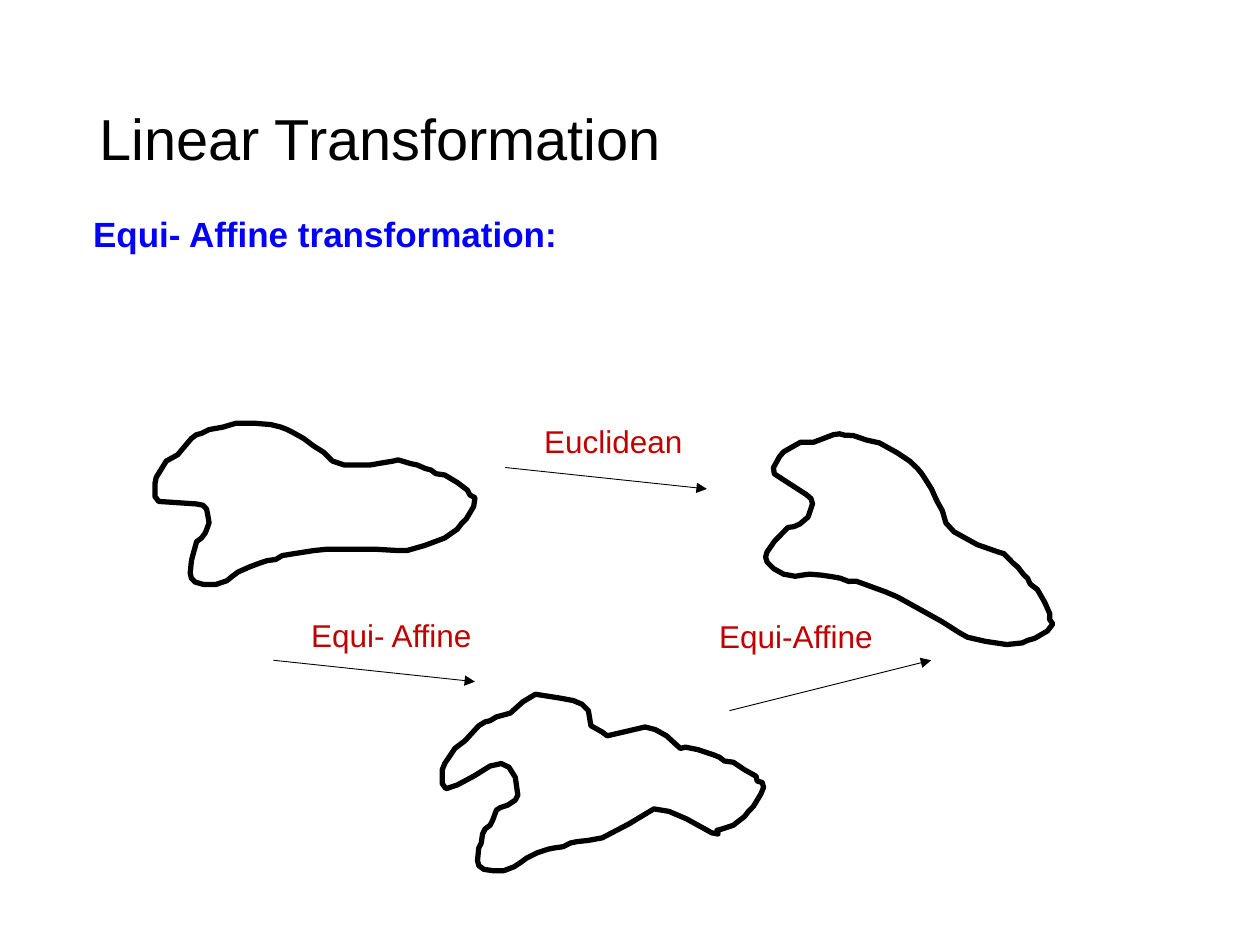
from lxml.etree import SubElement
from pptx import Presentation
from pptx.dml.color import RGBColor
from pptx.enum.shapes import MSO_CONNECTOR
from pptx.enum.text import MSO_ANCHOR, PP_ALIGN
from pptx.oxml.ns import qn
from pptx.util import Inches, Pt

WIDTH, HEIGHT = Inches(10), Inches(7.5)
FONT = "Arial"
COLORS = {
    "title": "000000",
    "heading": "0000FF",
    "label": "C00000",
    "line": "000000",
    "paper": "FFFFFF",
}

# Outlines in hundredths of an inch-like unit, 255 units wide, from the box's top left.
OUTLINE_UNITS = 255
ORIGINAL_OUTLINE = [
    (2, 43), (10, 30), (19, 25), (30, 12), (34, 9), (38, 8), (44, 5), (55, 3),
    (65, 0), (81, 0), (93, 1), (101, 3), (106, 5), (110, 7), (119, 12), (127, 18),
    (135, 23), (142, 30), (151, 33), (172, 33), (190, 30), (194, 29), (204, 32),
    (209, 33), (216, 36), (220, 37), (224, 40), (231, 41), (241, 47), (249, 53),
    (251, 57), (255, 59), (254, 66), (248, 76), (244, 80), (241, 84), (231, 91),
    (223, 94), (215, 97), (201, 101), (194, 101), (177, 100), (137, 100), (127, 101),
    (108, 104), (102, 105), (97, 108), (90, 109), (84, 111), (76, 114), (67, 118),
    (63, 121), (58, 125), (49, 128), (40, 128), (33, 126), (30, 123), (29, 119),
    (30, 109), (31, 105), (33, 98), (34, 94), (38, 91), (41, 87), (44, 79), (43, 73),
    (42, 68), (39, 65), (34, 64), (4, 62), (1, 58), (1, 48),
]
AFFINE_OUTLINE = [
    (2, 55), (10, 43), (18, 37), (29, 25), (34, 22), (38, 21), (43, 18), (54, 15),
    (64, 6), (74, 0), (93, 3), (104, 5), (111, 8), (116, 13), (117, 19), (118, 25),
    (127, 30), (131, 33), (161, 26), (169, 28), (178, 33), (189, 43), (193, 42),
    (203, 44), (209, 46), (215, 48), (220, 50), (224, 53), (231, 54), (240, 60),
    (249, 65), (250, 69), (254, 70), (255, 74), (253, 79), (247, 89), (243, 93),
    (240, 97), (231, 104), (222, 107), (218, 108), (219, 111), (214, 110), (194, 99),
    (180, 93), (168, 91), (148, 103), (127, 114), (116, 116), (107, 117), (102, 118),
    (96, 121), (89, 122), (84, 123), (75, 126), (67, 130), (63, 133), (57, 137),
    (49, 140), (40, 140), (33, 139), (29, 136), (28, 132), (29, 122), (31, 118),
    (32, 111), (34, 107), (38, 104), (40, 100), (43, 92), (46, 90), (52, 88), (58, 84),
    (60, 80), (58, 66), (53, 58), (47, 55), (38, 57), (25, 65), (12, 72), (3, 75),
    (0, 71), (0, 60),
]


def across(percent):
    return round(WIDTH * percent / 100)


def down(percent):
    return round(HEIGHT * percent / 100)


def place(box):
    """Turn left, top, width, height in percent of the slide into lengths."""
    left, top, width, height = box
    return across(left), down(top), across(width), down(height)


def rgb(role):
    return RGBColor.from_string(COLORS[role])


def style(paragraph, size, role, bold=False):
    for run in paragraph.runs:
        run.font.name = FONT
        run.font.size = Pt(size)
        run.font.bold = bold
        run.font.color.rgb = rgb(role)


def add_title(slide, text, box):
    title = slide.shapes.title
    title.left, title.top, title.width, title.height = place(box)
    title.text_frame.text = text
    title.text_frame.vertical_anchor = MSO_ANCHOR.MIDDLE
    paragraph = title.text_frame.paragraphs[0]
    paragraph.alignment = PP_ALIGN.LEFT
    paragraph.line_spacing = 0.9
    style(paragraph, 33, "title")


def add_text(slide, text, box, size, role, bold=False):
    frame = slide.shapes.add_textbox(*place(box)).text_frame
    frame.word_wrap = False
    frame.text = text
    style(frame.paragraphs[0], size, role, bold)


def add_figure(slide, outline, left, top, width=25.5, rotation=0):
    builder = slide.shapes.build_freeform(
        *outline[0], scale=across(width) / OUTLINE_UNITS)
    builder.add_line_segments(outline[1:], close=True)
    figure = builder.convert_to_shape(across(left), down(top))
    figure.rotation = rotation
    figure.shadow.inherit = False
    figure.fill.solid()
    figure.fill.fore_color.rgb = rgb("paper")
    figure.line.color.rgb = rgb("line")
    figure.line.width = Pt(3)
    SubElement(figure.line._get_or_add_ln(), qn("a:round"))


def add_step(slide, text, start, drop, label_offset, label_width, run=16):
    """Draw an arrow from start and its label, offset from that same point."""
    left, top = start
    arrow = slide.shapes.add_connector(
        MSO_CONNECTOR.STRAIGHT, across(left), down(top),
        across(left + run), down(top + drop))
    arrow.line.color.rgb = rgb("line")
    arrow.line.width = Pt(0.5)
    SubElement(arrow.line._get_or_add_ln(), qn("a:tailEnd"), type="triangle")
    SubElement(arrow._element.spPr, qn("a:effectLst"))
    right, below = label_offset
    add_text(slide, text, (left + right, top + below, label_width, 5.33), 18, "label")


def main():
    deck = Presentation()
    deck.slide_width, deck.slide_height = WIDTH, HEIGHT
    slide = deck.slides.add_slide(deck.slide_layouts.get_by_name("Title Only"))

    add_title(slide, "Linear Transformation", (6.9, 5.33, 86.2, 19.33))
    add_text(slide, "Equi- Affine transformation:", (6.4, 21.87, 39.9, 5.87),
             20, "heading", bold=True)

    add_figure(slide, ORIGINAL_OUTLINE, 12.2, 44.8)
    add_figure(slide, ORIGINAL_OUTLINE, 59.4, 49.87, rotation=29)
    add_step(slide, "Euclidean", (40.1, 49.47), 2.27, (2.1, -5.47), 13.1)
    add_step(slide, "Equi-Affine", (57.9, 75.2), -5.33, (-1.8, -10.53), 14.3)
    add_step(slide, "Equi- Affine", (21.7, 69.87), 2.27, (2, -5.33), 14.9)
    add_figure(slide, AFFINE_OUTLINE, 35.1, 73.47)

    deck.save("out.pptx")


if __name__ == "__main__":
    main()
